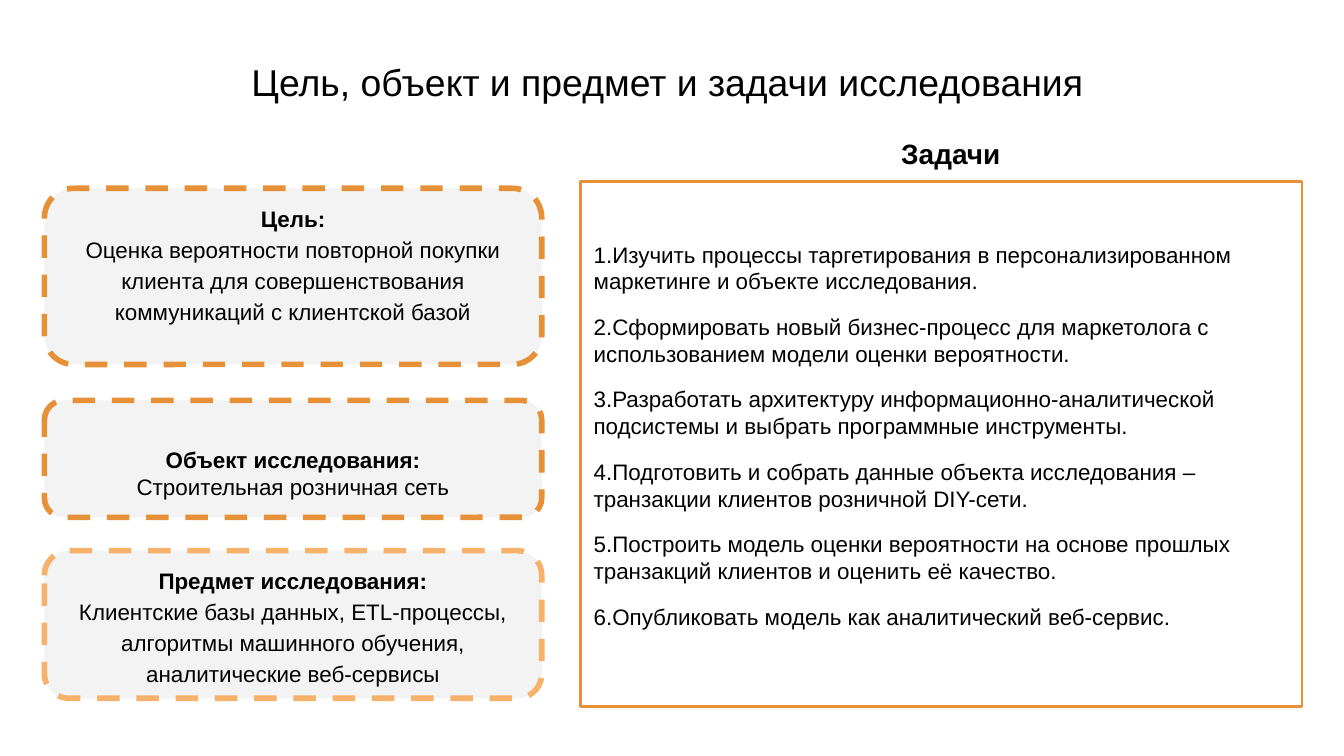
from dataclasses import dataclass

from pptx import Presentation
from pptx.dml.color import RGBColor
from pptx.enum.dml import MSO_LINE
from pptx.enum.shapes import MSO_SHAPE
from pptx.enum.text import MSO_ANCHOR, PP_ALIGN
from pptx.util import Cm, Pt

COLORS = {
    "text": "000000",
    "card": "F3F3F3",
    "orange": "E69138",
    "light_orange": "F6B26B",
    "white": "FFFFFF",
}
FONT = "Arial"
INSET = 0.25
CARD_LEFT, CARD_WIDTH = 0.84, 9.4


@dataclass
class Card:
    top: float
    height: float
    text_inset: float
    border: str
    line_spacing: float
    heading: str
    body: str


CARDS = [
    Card(3.56, 3.33, 0.08, "orange", 1.15, "Цель:",
         "Оценка вероятности повторной покупки клиента для "
         "совершенствования коммуникаций с клиентской базой"),
    Card(7.57, 2.21, 0.75, "orange", 1.0, "Объект исследования:",
         "Строительная розничная сеть"),
    Card(10.41, 2.79, 0.1, "light_orange", 1.15, "Предмет исследования:",
         "Клиентские базы данных, ETL-процессы, алгоритмы машинного "
         "обучения, аналитические веб-сервисы"),
]

TASKS = [
    "Изучить процессы таргетирования в персонализированном маркетинге и объекте исследования.",
    "Сформировать новый бизнес-процесс для маркетолога с использованием модели оценки вероятности.",
    "Разработать архитектуру информационно-аналитической подсистемы и выбрать программные инструменты.",
    "Подготовить и собрать данные объекта исследования – транзакции клиентов розничной DIY-сети.",
    "Построить модель оценки вероятности на основе прошлых транзакций клиентов и оценить её качество.",
    "Опубликовать модель как аналитический веб-сервис.",
]


def color(name: str) -> RGBColor:
    return RGBColor.from_string(COLORS[name])


def add_box(slide, kind, left: float, top: float, width: float, height: float,
            fill: str | None = None, border: str | None = None,
            border_width: float = 0):
    shape = slide.shapes.add_shape(kind, Cm(left), Cm(top), Cm(width), Cm(height))
    shape.shadow.inherit = False
    if fill:
        shape.fill.solid()
        shape.fill.fore_color.rgb = color(fill)
    else:
        shape.fill.background()
    if border:
        shape.line.color.rgb = color(border)
        shape.line.width = Pt(border_width)
    else:
        shape.line.fill.background()
    return shape


def write_text(shape, lines: list[str], size: float, bold_lines: int = 0,
               align=PP_ALIGN.CENTER, anchor=MSO_ANCHOR.MIDDLE,
               top_inset: float = INSET, bottom_inset: float = INSET,
               line_spacing: float = 1.0, space_after: float = 0) -> None:
    """Write one paragraph per line; the first bold_lines of them are bold."""
    frame = shape.text_frame
    frame.text = "\n".join(lines)
    frame.word_wrap = True
    frame.vertical_anchor = anchor
    frame.margin_left = frame.margin_right = Cm(INSET)
    frame.margin_top, frame.margin_bottom = Cm(top_inset), Cm(bottom_inset)
    for index, paragraph in enumerate(frame.paragraphs):
        paragraph.alignment = align
        paragraph.line_spacing = line_spacing
        paragraph.space_after = Pt(space_after)
        for run in paragraph.runs:
            run.font.name = FONT
            run.font.size = Pt(size)
            run.font.bold = index < bold_lines
            run.font.color.rgb = color("text")


def add_card(slide, card: Card) -> None:
    shape = add_box(slide, MSO_SHAPE.ROUNDED_RECTANGLE, CARD_LEFT, card.top,
                    CARD_WIDTH, card.height, "card", card.border, 3)
    shape.line.dash_style = MSO_LINE.DASH
    write_text(shape, [card.heading, card.body], 12, bold_lines=1,
               anchor=MSO_ANCHOR.TOP, top_inset=card.text_inset,
               bottom_inset=0, line_spacing=card.line_spacing)


def main() -> None:
    presentation = Presentation()
    presentation.slide_width, presentation.slide_height = Cm(25.4), Cm(14.29)
    slide = presentation.slides.add_slide(presentation.slide_layouts[6])

    title = slide.shapes.add_textbox(Cm(2.69), Cm(0.81), Cm(19.86), Cm(1.45))
    write_text(title, ["Цель, объект и предмет и задачи исследования"], 20)

    for card in CARDS:
        add_card(slide, card)

    task_box = add_box(slide, MSO_SHAPE.RECTANGLE, 10.97, 3.43, 13.64, 9.93,
                       border="orange", border_width=1.5)
    tasks = [f"{number}.{task}" for number, task in enumerate(TASKS, 1)]
    write_text(task_box, tasks, 12, align=PP_ALIGN.LEFT, anchor=MSO_ANCHOR.TOP,
               top_inset=1.12, space_after=10)

    task_heading = add_box(slide, MSO_SHAPE.RECTANGLE, 15.34, 2.54, 5.26, 0.71, "white")
    write_text(task_heading, ["Задачи"], 15, bold_lines=1)

    presentation.save("out.pptx")


if __name__ == "__main__":
    main()
